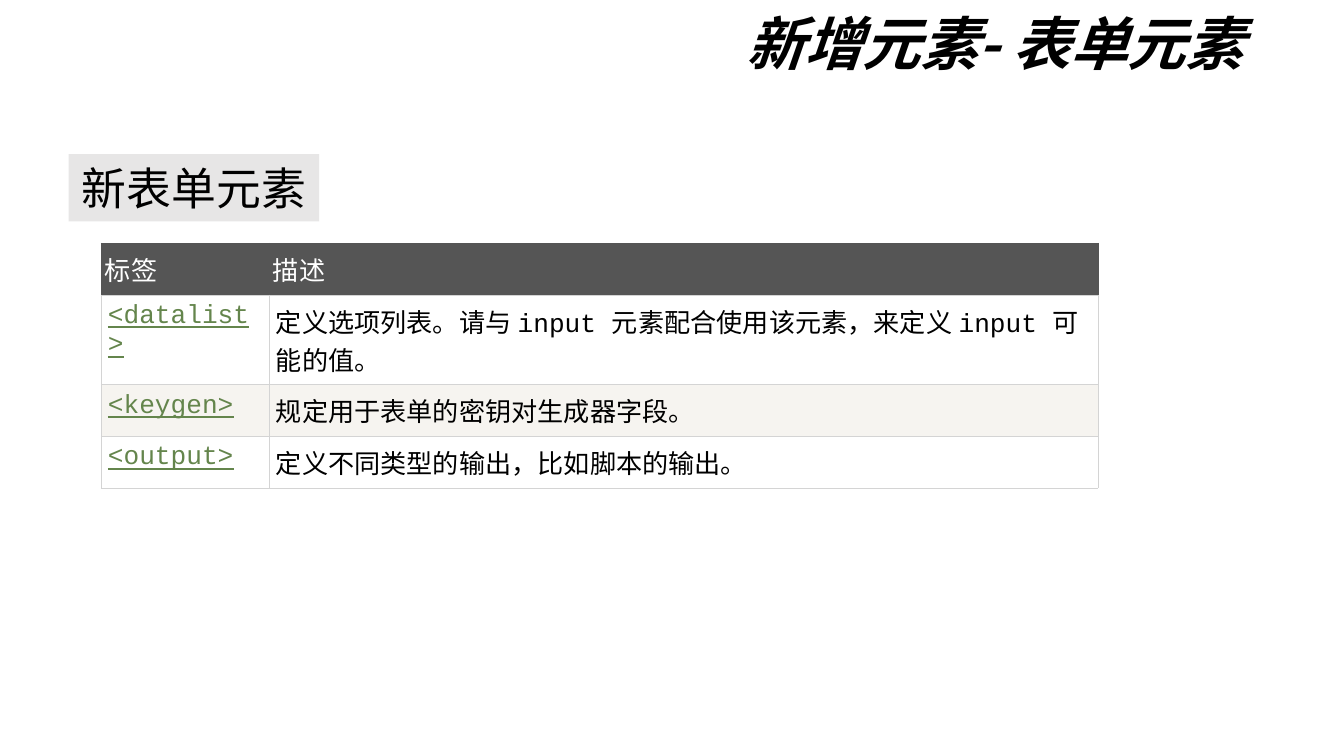
from lxml.etree import SubElement
from pptx import Presentation
from pptx.dml.color import RGBColor
from pptx.enum.shapes import MSO_SHAPE as Shape
from pptx.enum.text import MSO_ANCHOR as Anchor, MSO_AUTO_SIZE as AutoSize, PP_ALIGN as Align
from pptx.oxml.ns import qn
from pptx.util import Pt

BLACK = RGBColor(0x00, 0x00, 0x00)
WHITE = RGBColor(0xFF, 0xFF, 0xFF)
HEADER_GREY = RGBColor(0x55, 0x55, 0x55)
BAND = RGBColor(0xF6, 0xF4, 0xF0)
BORDER_GREY = RGBColor(0xD4, 0xD4, 0xD4)
TAG_GREEN = RGBColor(0x64, 0x85, 0x4C)
LABEL_GREY = RGBColor(0xE7, 0xE6, 0xE6)
CJK_FONT = "Noto Sans CJK JP"
CODE_FONT = "Courier New"


def write(frame, text, color, align=Align.LEFT, **formats):
    """Put one formatted run in the frame, with the CJK font for Chinese."""
    paragraph = frame.paragraphs[0]
    paragraph.alignment = align
    run = paragraph.add_run()
    run.text = text
    run.font.color.rgb = color
    for key, value in formats.items():
        setattr(run.font, key, value)
    SubElement(run.font._element, qn("a:ea"), typeface=CJK_FONT)
    return paragraph


def add_border(cell, side, color):
    line = SubElement(cell._tc.get_or_add_tcPr(), qn(f"a:{side}"), w=str(Pt(0.34)))
    fill = SubElement(line, qn("a:solidFill"))
    SubElement(fill, qn("a:srgbClr"), val=str(color))


deck = Presentation()
deck.slide_width, deck.slide_height = Pt(720), Pt(405)
slide = deck.slides.add_slide(deck.slide_layouts[5])

# Title
title = slide.shapes.title
title.left, title.top, title.width, title.height = Pt(99.4), Pt(0), Pt(571.7), Pt(49.7)
heading = title.text_frame
heading_format = {
    "vertical_anchor": Anchor.MIDDLE, "word_wrap": True, "auto_size": AutoSize.NONE,
    "margin_left": Pt(5), "margin_right": Pt(5), "margin_top": Pt(2.9), "margin_bottom": Pt(2.9),
}
for key, value in heading_format.items():
    setattr(heading, key, value)
write(heading, "新增元素- 表单元素", BLACK, Align.RIGHT,
      name=CJK_FONT, size=Pt(31), bold=True, italic=True).line_spacing = 0.9

# Table of new form elements
rows = [
    ("标签", "描述"),
    ("<datalist>", "定义选项列表。请与 input 元素配合使用该元素，来定义 input 可能的值。"),
    ("<keygen>", "规定用于表单的密钥对生成器字段。"),
    ("<output>", "定义不同类型的输出，比如脚本的输出。"),
]
row_heights = [21.6, 43.9, 27.4, 27.4]
column_widths = [90, 444]
elements = slide.shapes.add_table(
    len(rows), len(column_widths), Pt(54.2), Pt(130.3),
    Pt(sum(column_widths)), Pt(sum(row_heights))).table
elements.first_row = elements.horz_banding = False
for column, width in zip(elements.columns, column_widths):
    column.width = Pt(width)

for r, (texts, height) in enumerate(zip(rows, row_heights)):
    elements.rows[r].height = Pt(height)
    is_header = r == 0
    for c, text in enumerate(texts):
        cell = elements.cell(r, c)
        cell.margin_left = cell.margin_right = Pt(2 if is_header else 3.6)
        cell.margin_top = cell.margin_bottom = Pt(3.6)
        is_tag = c == 0 and not is_header
        color = WHITE if is_header else TAG_GREEN if is_tag else BLACK
        write(cell.text_frame, text, color, name=CODE_FONT, size=Pt(14), underline=is_tag)
        for side in ("lnL", "lnR", "lnT", "lnB"):
            add_border(cell, side, HEADER_GREY if is_header and side != "lnB" else BORDER_GREY)
        cell.fill.solid()
        cell.fill.fore_color.rgb = HEADER_GREY if is_header else BAND if r % 2 == 0 else WHITE

# Section label
label = slide.shapes.add_shape(Shape.RECTANGLE, Pt(36.8), Pt(82.6), Pt(134.2), Pt(36))
label.shadow.inherit = False
label.fill.solid()
label.fill.fore_color.rgb = LABEL_GREY
label.line.fill.background()
label_format = {
    "vertical_anchor": Anchor.TOP, "word_wrap": False, "auto_size": AutoSize.SHAPE_TO_FIT_TEXT,
    "margin_left": Pt(7.2), "margin_right": Pt(7.2), "margin_top": Pt(3.6), "margin_bottom": Pt(3.6),
}
for key, value in label_format.items():
    setattr(label.text_frame, key, value)
write(label.text_frame, "新表单元素", BLACK, name=CODE_FONT, size=Pt(24))

deck.save("out.pptx")
